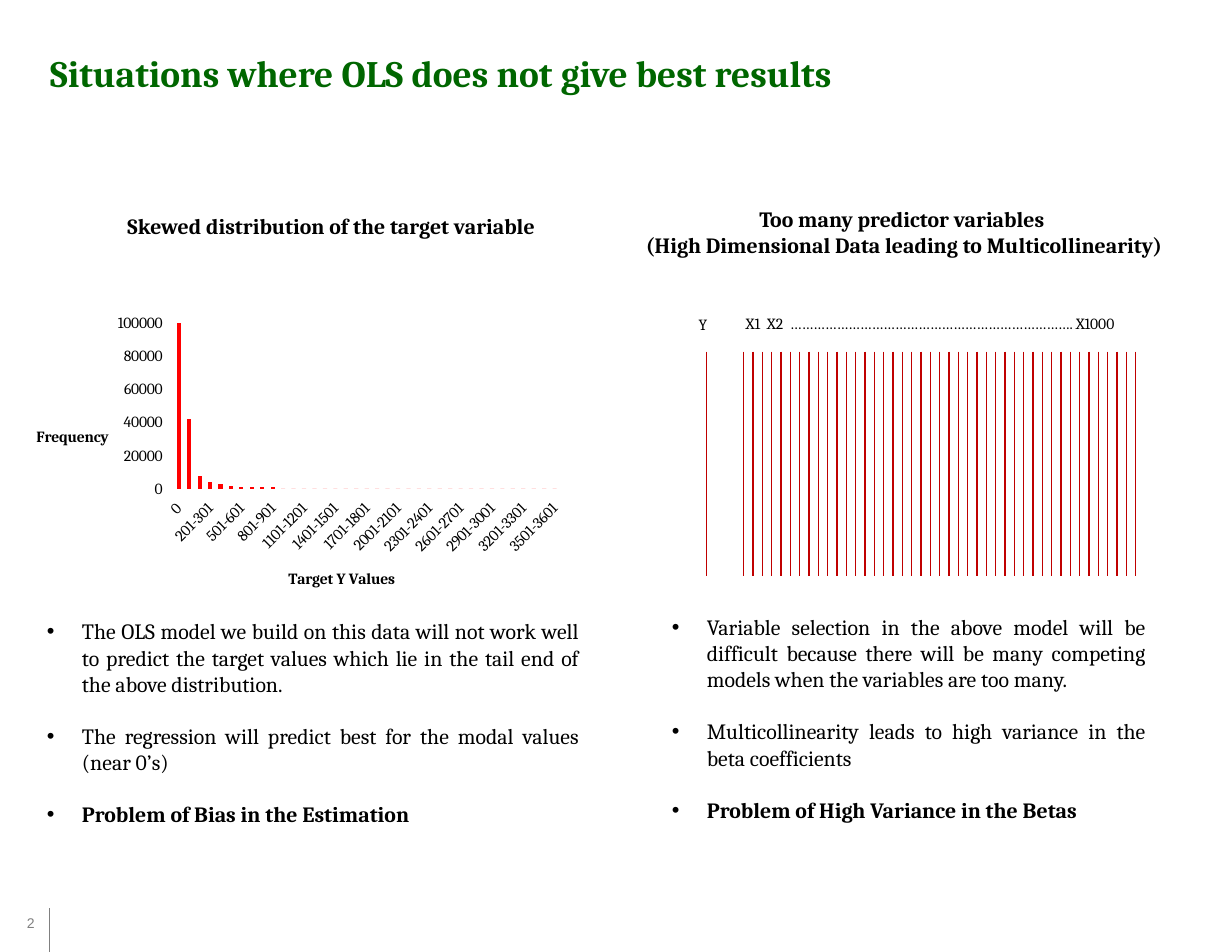
import lxml.etree
import pptx
import pptx.chart.data
import pptx.dml.color
import pptx.enum.chart
import pptx.enum.shapes
import pptx.enum.text
import pptx.oxml.ns
import pptx.util

SLIDE_WIDTH, SLIDE_HEIGHT = pptx.util.Inches(11), pptx.util.Inches(8.5)
COLUMNS, ROWS = 110, 85  # square grid cells
COLORS = {"title": "006600", "text": "000000", "bar": "FF0000",
          "predictor": "C00000", "footer": "808080"}
SERIF = "Cambria"
ALIGN = pptx.enum.text.PP_ALIGN
ANCHOR = pptx.enum.text.MSO_ANCHOR

# Chart data: the first bar runs past the top of the axis
BIN_LABELS = ["0"] + [f"{low}-{low + 100}" for low in range(1, 3600, 100)]
FIRST_COUNTS = [9268000, 42000, 8000, 4000, 3000, 2000, 1000, 1000, 1000, 1000]
COUNTS = FIRST_COUNTS + [0] * (len(BIN_LABELS) - len(FIRST_COUNTS))

BIAS_POINTS = [
    "The OLS model we build on this data will not work well to predict the target "
    "values which lie in the tail end of the above distribution. ",
    "The regression will predict best for the modal values (near 0’s)",
    "Problem of Bias in the Estimation",
]
VARIANCE_POINTS = [
    "Variable selection in the above model will be difficult because there will be "
    "many competing models when the variables are too many. ",
    "Multicollinearity leads to high variance in the beta coefficients",
    "Problem of High Variance in the Betas",
]


def column(count):
    return round(SLIDE_WIDTH * count / COLUMNS)


def row(count):
    return round(SLIDE_HEIGHT * count / ROWS)


def rgb(name):
    return pptx.dml.color.RGBColor.from_string(COLORS[name])


def set_attributes(target, values):
    for name, value in values.items():
        setattr(target, name, value)


def set_font(font, size, color="text", bold=False, name=SERIF):
    set_attributes(font, {"size": pptx.util.Pt(size), "bold": bold, "name": name})
    font.color.rgb = rgb(color)


def add_child(parent, tag, **attributes):
    return lxml.etree.SubElement(parent, pptx.oxml.ns.qn(tag), attributes)


def add_text(slide, box, lines, size, color="text", bold=False, name=SERIF,
             frame_format=None, paragraph_format=None):
    left, top, width, height = box
    shape = slide.shapes.add_textbox(column(left), row(top), column(width), row(height))
    frame = shape.text_frame
    set_attributes(frame, {"word_wrap": True, **(frame_format or {})})
    frame.text = "\n".join(lines)
    for paragraph in frame.paragraphs:
        set_attributes(paragraph, paragraph_format or {})
        for run in paragraph.runs:
            set_font(run.font, size, color, bold, name)
    return frame


def add_bullets(slide, box, points):
    frame = add_text(slide, box, points, 14, paragraph_format={
        "alignment": ALIGN.JUSTIFY, "space_after": pptx.util.Pt(16.75)})
    for paragraph in frame.paragraphs:
        properties = paragraph._p.get_or_add_pPr()
        indent = column(3.13)
        properties.set("marL", str(indent))
        properties.set("indent", str(-indent))
        add_child(properties, "a:buFont", typeface="Arial")
        add_child(properties, "a:buChar", char="•")
    frame.paragraphs[-1].runs[0].font.bold = True  # conclusion


def add_vertical_line(slide, x, top, bottom, color, width):
    line = slide.shapes.add_connector(
        pptx.enum.shapes.MSO_CONNECTOR.STRAIGHT, column(x), row(top), column(x), row(bottom))
    line.line.color.rgb = rgb(color)
    line.line.width = pptx.util.Pt(width)
    add_child(line._element.spPr, "a:effectLst")


def place(element, position, inner=False, **shares):
    """Give a chart part a manual layout in shares of the chart's size."""
    for old in element.findall(pptx.oxml.ns.qn("c:layout")):
        element.remove(old)
    layout = add_child(element, "c:layout")
    element.insert(position, layout)
    manual = add_child(layout, "c:manualLayout")
    if inner:
        add_child(manual, "c:layoutTarget", val="inner")
    for key in "xy":
        add_child(manual, f"c:{key}Mode", val="edge")
    for key, share in shares.items():
        add_child(manual, f"c:{key}", val=str(share))


def format_axis(axis, title, rotation, x, y):
    set_attributes(axis, {
        "has_major_gridlines": False,
        "major_tick_mark": pptx.enum.chart.XL_TICK_MARK.OUTSIDE,
        "minor_tick_mark": pptx.enum.chart.XL_TICK_MARK.NONE})
    axis.format.line.fill.background()
    set_font(axis.tick_labels.font, 10)
    frame = axis.axis_title.text_frame
    frame.text = title
    set_font(frame.paragraphs[0].runs[0].font, 10, bold=True)
    frame._txBody.bodyPr.set("rot", "0")
    place(axis.axis_title._element, 1, x=x, y=y)
    axis._element.txPr.bodyPr.set("rot", str(rotation * 60000))


def add_histogram(slide, box):
    data = pptx.chart.data.CategoryChartData()
    data.categories = BIN_LABELS
    data.add_series("Series 1", COUNTS)
    left, top, width, height = box
    chart = slide.shapes.add_chart(
        pptx.enum.chart.XL_CHART_TYPE.COLUMN_CLUSTERED,
        column(left), row(top), column(width), row(height), data).chart
    set_attributes(chart, {"has_legend": False, "has_title": False})
    set_font(chart.font, 10)
    set_attributes(chart.plots[0], {"gap_width": 150, "vary_by_categories": False})
    fill = chart.plots[0].series[0].format.fill
    fill.solid()
    fill.fore_color.rgb = rgb("bar")
    set_attributes(chart.value_axis, {
        "minimum_scale": 0, "maximum_scale": 100000, "major_unit": 20000})
    format_axis(chart.category_axis, "Target Y Values", -45, 0.49, 0.87)
    format_axis(chart.value_axis, "Frequency", 0, 0.04, 0.39)
    # Label every third bin
    skip = add_child(chart.category_axis._element, "c:tickLblSkip", val="3")
    chart.category_axis._element.find(pptx.oxml.ns.qn("c:noMultiLvlLbl")).addprevious(skip)
    plot_area = chart._chartSpace.chart.plotArea
    place(plot_area, 0, inner=True, x=0.29, y=0.05, w=0.69, h=0.56)


def add_predictors(slide):
    add_text(slide, (61.4, 27.6, 3.3, 2.7), ["Y"], 10)
    add_text(slide, (65.6, 27.5, 35.8, 2.7),
             ["X1  X2  ………………………………………………………………. X1000"], 10)
    # Target, then evenly spaced predictors
    for x in [63.1] + [66.4 + index * 10 / 12 for index in range(43)]:
        add_vertical_line(slide, x, 31.4, 51.4, "predictor", 0.75)


def main():
    presentation = pptx.Presentation()
    set_attributes(presentation, {"slide_width": SLIDE_WIDTH, "slide_height": SLIDE_HEIGHT})
    slide = presentation.slides.add_slide(presentation.slide_layouts[6])

    # Footer
    add_vertical_line(slide, 4.4, 81.1, ROWS, "footer", 0.5)
    add_text(slide, (0.8, 77.7, 3.9, 5.9), ["2"], 9, "footer", name="Arial",
             frame_format={"word_wrap": False, "vertical_anchor": ANCHOR.BOTTOM},
             paragraph_format={"alignment": ALIGN.CENTER})

    # Title
    add_text(slide, (3.5, 3.8, 93.5, 5.3), ["Situations where OLS does not give best results"],
             24, "title", True, frame_format={"vertical_anchor": ANCHOR.MIDDLE})

    # Left half: skewed target
    add_text(slide, (10.4, 18.5, 43.7, 3.4),
             ["Skewed distribution of the target variable"], 14, bold=True)
    add_histogram(slide, (1, 27.5, 50, 26.5))
    add_bullets(slide, (3.2, 54.7, 49.5, 19.9), BIAS_POINTS)

    # Right half: many predictors
    add_text(slide, (54.7, 17.9, 52.1, 8.1),
             ["Too many predictor variables ",
              "(High Dimensional Data leading to Multicollinearity)"],
             14, bold=True, paragraph_format={"alignment": ALIGN.CENTER})
    add_predictors(slide)
    add_bullets(slide, (59, 54.3, 44.3, 19.9), VARIANCE_POINTS)

    presentation.save("out.pptx")


if __name__ == "__main__":
    main()
